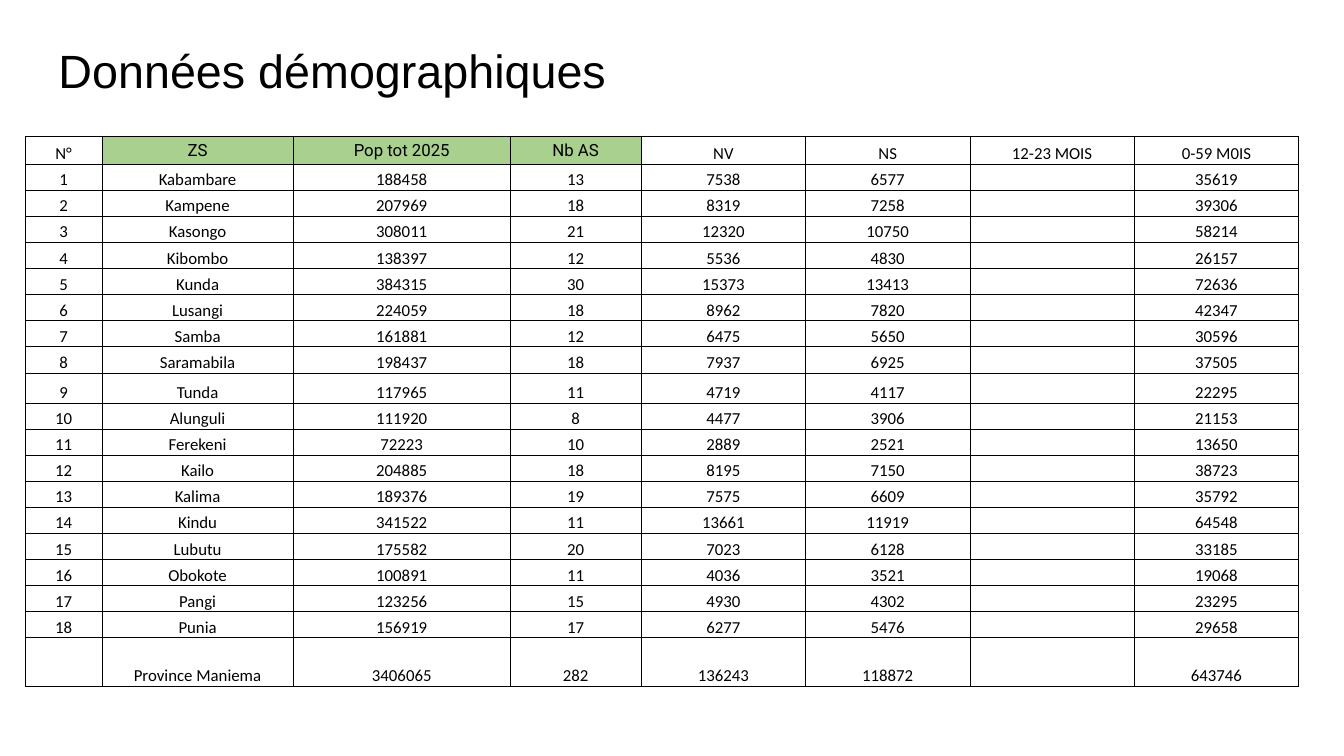
from lxml import etree
from pptx import Presentation
from pptx.dml.color import RGBColor
from pptx.enum import text
from pptx.oxml import ns
from pptx.util import Inches, Pt

BLACK = RGBColor(0x00, 0x00, 0x00)
GREEN = RGBColor(0xA9, 0xD0, 0x8E)

TITLE = "Données démographiques"
HEADERS = ["N°", "ZS", "Pop tot 2025", "Nb AS", "NV", "NS", "12-23 MOIS", "0-59 M0IS"]
GREEN_HEADERS = {"ZS", "Pop tot 2025", "Nb AS"}
# Health zone, population, areas, NV, NS, 0-59 months
ZONES = [
    ("Kabambare", 188458, 13, 7538, 6577, 35619),
    ("Kampene", 207969, 18, 8319, 7258, 39306),
    ("Kasongo", 308011, 21, 12320, 10750, 58214),
    ("Kibombo", 138397, 12, 5536, 4830, 26157),
    ("Kunda", 384315, 30, 15373, 13413, 72636),
    ("Lusangi", 224059, 18, 8962, 7820, 42347),
    ("Samba", 161881, 12, 6475, 5650, 30596),
    ("Saramabila", 198437, 18, 7937, 6925, 37505),
    ("Tunda", 117965, 11, 4719, 4117, 22295),
    ("Alunguli", 111920, 8, 4477, 3906, 21153),
    ("Ferekeni", 72223, 10, 2889, 2521, 13650),
    ("Kailo", 204885, 18, 8195, 7150, 38723),
    ("Kalima", 189376, 19, 7575, 6609, 35792),
    ("Kindu", 341522, 11, 13661, 11919, 64548),
    ("Lubutu", 175582, 20, 7023, 6128, 33185),
    ("Obokote", 100891, 11, 4036, 3521, 19068),
    ("Pangi", 123256, 15, 4930, 4302, 23295),
    ("Punia", 156919, 17, 6277, 5476, 29658),
]
TOTAL = ("Province Maniema", 3406065, 282, 136243, 118872, 643746)

COLUMN_WIDTHS = [0.76, 1.9, 2.15, 1.3] + [1.63] * 4
TABLE_WIDTH, TABLE_HEIGHT = 12.63, 5.46
SPECIAL_HEIGHTS = {0: 0.28, 9: 0.3, 19: 0.48}


def table_row(number, zone):
    """Number the zone and leave the 12-23 months column empty."""
    return [number, *zone[:-1], "", zone[-1]]


def add_borders(cell):
    properties = cell._tc.get_or_add_tcPr()
    for position, side in enumerate(("lnL", "lnR", "lnT", "lnB")):
        line = etree.Element(ns.qn(f"a:{side}"), w=str(Pt(0.5)))
        fill = etree.SubElement(line, ns.qn("a:solidFill"))
        etree.SubElement(fill, ns.qn("a:srgbClr"), val=str(BLACK))
        properties.insert(position, line)


def format_cell(cell, value):
    highlighted = value in GREEN_HEADERS
    cell.margin_left = cell.margin_right = cell.margin_top = Inches(0.01)
    cell.margin_bottom = 0
    cell.vertical_anchor = text.MSO_ANCHOR.MIDDLE if highlighted else text.MSO_ANCHOR.BOTTOM
    if highlighted:
        cell.fill.solid()
        cell.fill.fore_color.rgb = GREEN
    else:
        cell.fill.background()
    add_borders(cell)

    cell.text = str(value)
    paragraph = cell.text_frame.paragraphs[0]
    paragraph.alignment = text.PP_ALIGN.CENTER
    paragraph.font.size = Pt(12)
    paragraph.font.name = "Roboto" if highlighted else "Calibri"
    paragraph.font.color.rgb = BLACK
    if value == "":
        # Keeps an empty cell from stretching its row
        etree.SubElement(paragraph._p, ns.qn("a:endParaRPr"), sz="1200")


presentation = Presentation()
presentation.slide_width, presentation.slide_height = Inches(13.33), Inches(7.5)
slide = presentation.slides.add_slide(presentation.slide_layouts[5])

# Title
title = slide.shapes.title
title.left, title.top = Inches(0.45), Inches(0.28)
title.width, title.height = Inches(12.42), Inches(0.83)
frame = title.text_frame
frame.text = TITLE
frame.margin_left = frame.margin_right = frame.margin_top = frame.margin_bottom = Inches(0.13)
frame.vertical_anchor = text.MSO_ANCHOR.MIDDLE
frame.auto_size = text.MSO_AUTO_SIZE.NONE
heading = frame.paragraphs[0]
heading.alignment = text.PP_ALIGN.LEFT
heading.font.size = Pt(33.3)
heading.font.name = "Arial"
heading.font.color.rgb = BLACK

# Table
rows = [HEADERS]
rows += [table_row(number, zone) for number, zone in enumerate(ZONES, 1)]
rows.append(table_row("", TOTAL))
table = slide.shapes.add_table(
    len(rows), len(HEADERS), Inches(0.25), Inches(1.35), Inches(TABLE_WIDTH), Inches(TABLE_HEIGHT)
).table
table.first_row = table.horz_banding = False
for column, width in zip(table.columns, COLUMN_WIDTHS):
    column.width = Inches(width)

regular_height = (TABLE_HEIGHT - sum(SPECIAL_HEIGHTS.values())) / (len(rows) - len(SPECIAL_HEIGHTS))
for index, values in enumerate(rows):
    table.rows[index].height = Inches(SPECIAL_HEIGHTS.get(index, regular_height))
    for cell, value in zip(table.rows[index].cells, values):
        format_cell(cell, value)

presentation.save("out.pptx")
